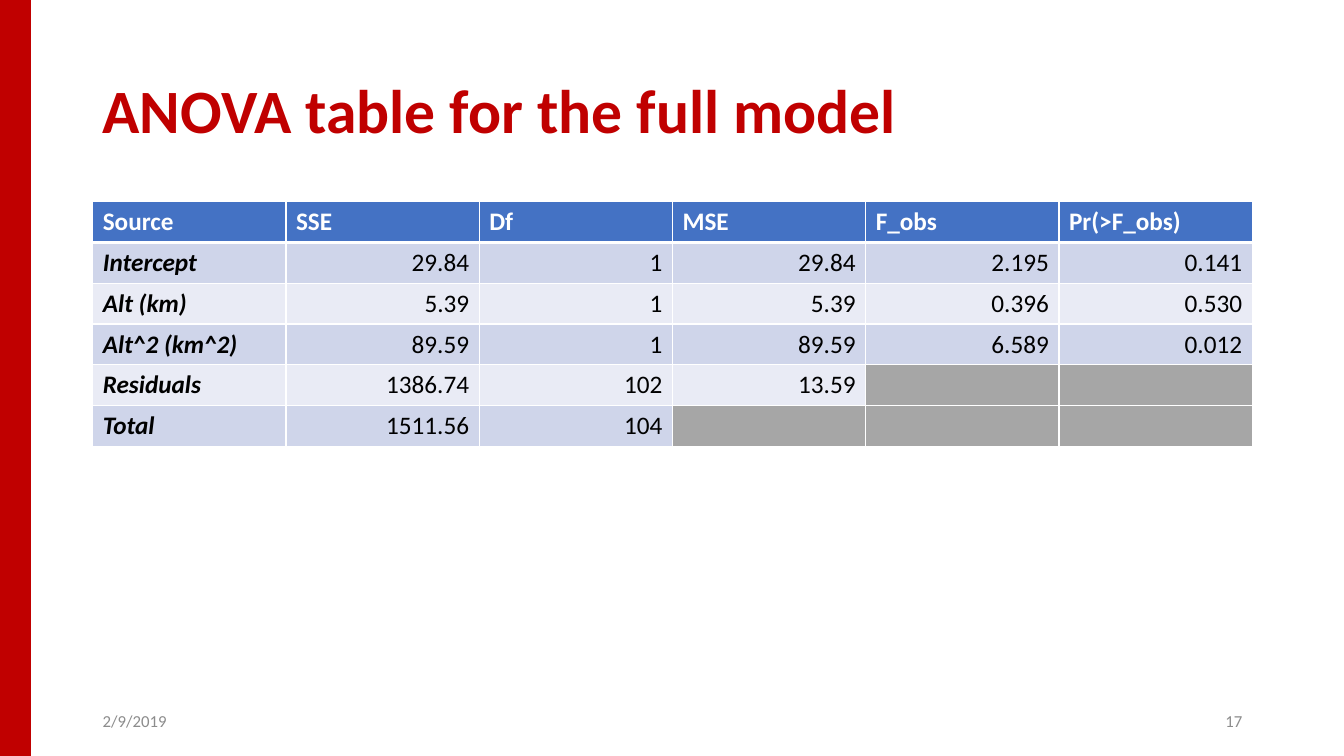
from dataclasses import dataclass

from lxml.etree import SubElement
from pptx import Presentation
from pptx.dml.color import RGBColor
from pptx.enum.shapes import MSO_SHAPE as Shape
from pptx.enum.text import MSO_ANCHOR as Anchor, PP_ALIGN as Align
from pptx.oxml.ns import qn
from pptx.util import Inches, Pt


@dataclass(frozen=True)
class Theme:
    font: str = "Calibri"
    accent: str = "C00000"
    header: str = "4472C4"
    bands: tuple = ("CFD5EA", "E9EBF5")
    unused: str = "A6A6A6"
    white: str = "FFFFFF"
    black: str = "000000"
    muted: str = "8C8C8C"
    title_size: int = 44
    table_size: int = 18
    footer_size: int = 12
    border: int = 1
    header_border: int = 3


class SlideBuilder:
    """Six columns between the side margins; 150 rows down the slide."""

    def __init__(self, presentation, theme):
        self.theme = theme
        self.margin = Inches(0.92)
        self.column = Inches(11.5) / 6
        self.row = presentation.slide_height / 150
        self.slide = presentation.slides.add_slide(presentation.slide_layouts[6])

    def box(self, column, row, columns, rows):
        return (round(self.margin + column * self.column), round(row * self.row),
                round(columns * self.column), round(rows * self.row))

    def style(self, paragraph, size, color, bold=False, italic=False):
        for run in paragraph.runs:
            font = run.font
            font.name, font.size = self.theme.font, Pt(size)
            font.bold, font.italic = bold, italic
            font.color.rgb = RGBColor.from_string(color)

    def side_bar(self, width):
        bar = self.slide.shapes.add_shape(
            Shape.RECTANGLE, 0, 0, width, round(150 * self.row))
        bar.shadow.inherit = False
        color = RGBColor.from_string(self.theme.accent)
        bar.fill.solid()
        bar.fill.fore_color.rgb = color
        bar.line.color.rgb = color
        bar.line.width = Pt(1)

    def text(self, wording, place, size, color, bold=False,
             align=Align.LEFT, line_spacing=1.0):
        frame = self.slide.shapes.add_textbox(*self.box(*place)).text_frame
        frame.word_wrap = True
        frame.vertical_anchor = Anchor.MIDDLE
        frame.text = wording
        paragraph = frame.paragraphs[0]
        paragraph.alignment = align
        paragraph.line_spacing = line_spacing
        self.style(paragraph, size, color, bold)

    def borders(self, cell, top, bottom):
        theme = self.theme
        widths = {"L": theme.border, "R": theme.border, "T": top, "B": bottom}
        properties = cell._tc.get_or_add_tcPr()
        for side, width in widths.items():
            line = SubElement(properties, qn(f"a:ln{side}"), w=str(Pt(width)))
            fill = SubElement(line, qn("a:solidFill"))
            SubElement(fill, qn("a:srgbClr"), val=theme.white)

    def cell(self, cell, value, row, column):
        theme = self.theme
        is_header, is_label = row == 0, column == 0
        self.borders(cell,
                     theme.header_border if row == 1 else theme.border,
                     theme.header_border if is_header else theme.border)
        if is_header:
            fill = theme.header
        else:
            fill = theme.bands[(row - 1) % 2] if value else theme.unused
        cell.fill.solid()
        cell.fill.fore_color.rgb = RGBColor.from_string(fill)
        cell.text_frame.text = value
        paragraph = cell.text_frame.paragraphs[0]
        paragraph.alignment = Align.LEFT if is_header or is_label else Align.RIGHT
        self.style(paragraph, theme.table_size,
                   theme.white if is_header else theme.black,
                   bold=is_header or is_label,
                   italic=is_label and not is_header)

    def table(self, records, place):
        table = self.slide.shapes.add_table(
            len(records), len(records[0]), *self.box(*place)).table
        for row, record in enumerate(records):
            for column, value in enumerate(record):
                self.cell(table.cell(row, column), value, row, column)


ANOVA = [
    ("Source", "SSE", "Df", "MSE", "F_obs", "Pr(>F_obs)"),
    ("Intercept", "29.84", "1", "29.84", "2.195", "0.141"),
    ("Alt (km)", "5.39", "1", "5.39", "0.396", "0.530"),
    ("Alt^2 (km^2)", "89.59", "1", "89.59", "6.589", "0.012"),
    ("Residuals", "1386.74", "102", "13.59", "", ""),
    ("Total", "1511.56", "104", "", "", ""),
]


def main():
    presentation = Presentation()
    presentation.slide_width, presentation.slide_height = Inches(13.33), Inches(7.5)
    theme = Theme()
    builder = SlideBuilder(presentation, theme)

    # Side bar and title
    builder.side_bar(Inches(0.3))
    builder.text("ANOVA table for the full model", (0, 8, 6, 29),
                 theme.title_size, theme.accent, bold=True, line_spacing=0.9)

    # Analysis of variance
    builder.table(ANOVA, (0, 40, 6, 48.6))

    # Footer: date and slide number
    footer_width = 3 / 6 * 3.13
    for wording, column, align in (("2/9/2019", 0, Align.LEFT),
                                   ("17", 6 - footer_width, Align.RIGHT)):
        builder.text(wording, (column, 139, footer_width, 8),
                     theme.footer_size, theme.muted, align=align)

    presentation.save("out.pptx")


if __name__ == "__main__":
    main()
